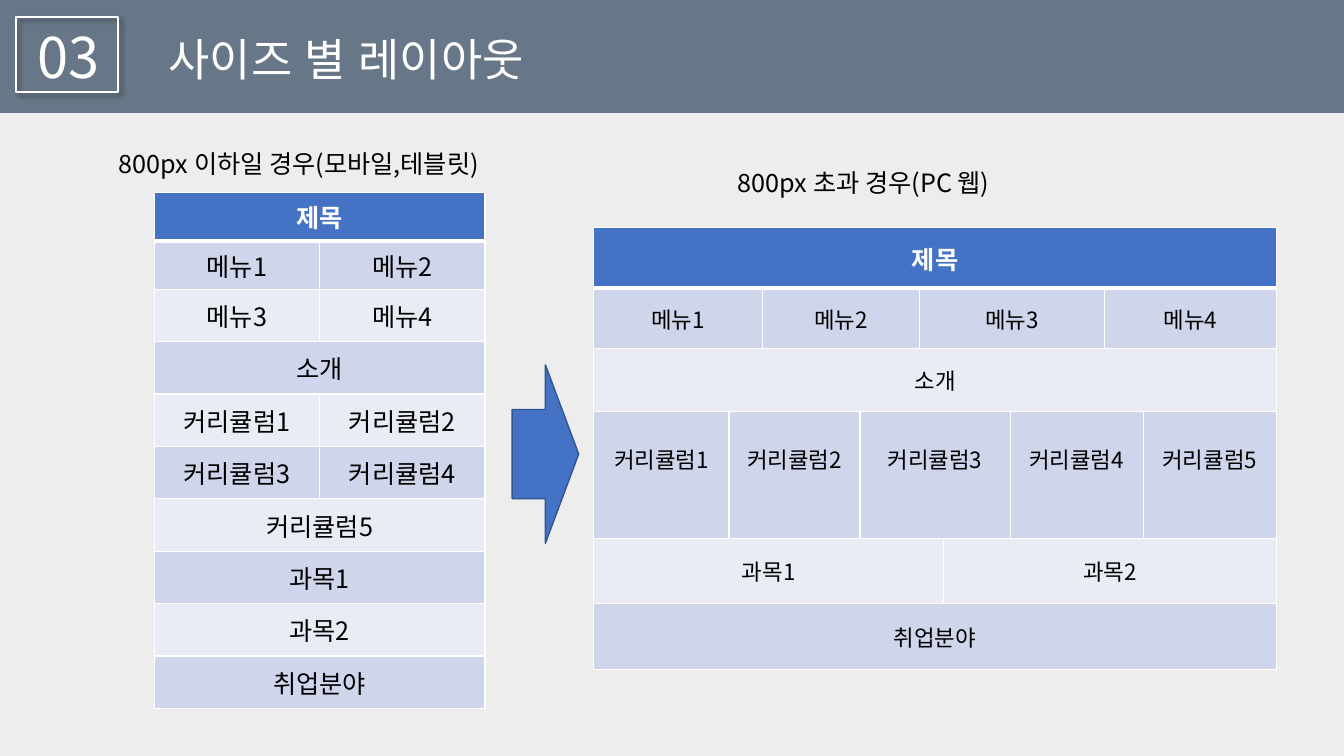
from lxml import etree
from pptx import Presentation
from pptx.dml.color import RGBColor
from pptx.enum import shapes, text
from pptx.oxml import ns
from pptx.util import Inches, Pt

COLORS = {
    "page": "EDEDED", "banner": "677787", "white": "FFFFFF", "black": "000000",
    "blue": "4472C4", "outline": "325491", "dark_band": "CFD5EA", "light_band": "E9EBF5",
}
COLORS = {name: RGBColor.from_string(value) for name, value in COLORS.items()}
SANS = "Noto Sans CJK KR"


def style(para, size, color, font=SANS, align=None, bold=False):
    para.alignment = align
    para.font.size = Pt(size)
    para.font.bold = bold
    para.font.color.rgb = COLORS[color]
    para.font.name = font
    # East Asian face for the Korean letters
    etree.SubElement(para._p.pPr[-1], ns.qn("a:ea"), typeface=font)


def add_layout_table(left, top, widths, heights, rows, body_size):
    """Each row lists (label, number of columns it spans)."""
    frame = page.shapes.add_table(len(heights), len(widths), Inches(left), Inches(top),
                                  Inches(sum(widths)), Inches(sum(heights)))
    table = frame.table
    for column, width in zip(table.columns, widths):
        column.width = Inches(width)
    for row, height in zip(table.rows, heights):
        row.height = Inches(height)

    for r, entries in enumerate(rows):
        # Fills and borders
        fill = "blue" if r == 0 else "dark_band" if r % 2 else "light_band"
        for cell in table.rows[r].cells:
            cell.fill.solid()
            cell.fill.fore_color.rgb = COLORS[fill]
            borders = {"lnL": 1, "lnR": 1, "lnT": 3 if r == 1 else 1, "lnB": 3 if r == 0 else 1}
            for index, (side, points) in enumerate(borders.items()):
                line = etree.Element(ns.qn(f"a:{side}"), w=str(Pt(points)))
                solid = etree.SubElement(line, ns.qn("a:solidFill"))
                etree.SubElement(solid, ns.qn("a:srgbClr"), val=str(COLORS["white"]))
                cell._tc.tcPr.insert(index, line)
        # Labels and merged columns
        c = 0
        for label, span in entries:
            cell = table.cell(r, c)
            if span > 1:
                cell.merge(table.cell(r, c + span - 1))
            cell.text = label
            cell.vertical_anchor = text.MSO_ANCHOR.MIDDLE
            style(cell.text_frame.paragraphs[0], 18 if r == 0 else body_size,
                  "white" if r == 0 else "black", align=text.PP_ALIGN.CENTER, bold=r == 0)
            c += span
    return table


deck = Presentation()
deck.slide_width, deck.slide_height = Inches(13.33), Inches(7.5)
page = deck.slides.add_slide(deck.slide_layouts[6])
page.background.fill.solid()
page.background.fill.fore_color.rgb = COLORS["page"]

# Banner, number frame and arrow
kinds = shapes.MSO_SHAPE
for kind, left, top, width, height, fill, outline, points in [
    (kinds.RECTANGLE, 0, 0, 13.33, 1.12, "banner", None, 0),
    (kinds.RECTANGLE, 0.16, 0.17, 1.01, 0.74, None, "white", 1.5),
    (kinds.RIGHT_ARROW, 5.08, 3.62, 0.66, 1.77, "blue", "outline", 1),
]:
    shape = page.shapes.add_shape(kind, Inches(left), Inches(top), Inches(width), Inches(height))
    shape.shadow.inherit = False
    if fill:
        shape.fill.solid()
        shape.fill.fore_color.rgb = COLORS[fill]
    else:
        shape.fill.background()
        # Soft shadow under the number frame
        effects = shape._element.spPr.find(ns.qn("a:effectLst"))
        shadow = etree.SubElement(effects, ns.qn("a:outerShdw"), blurRad=str(Pt(4)),
                                  dist=str(Pt(3)), dir="2700000", algn="tl", rotWithShape="0")
        tint = etree.SubElement(shadow, ns.qn("a:srgbClr"), val=str(COLORS["black"]))
        etree.SubElement(tint, ns.qn("a:alpha"), val="40000")
    if outline:
        shape.line.color.rgb = COLORS[outline]
        shape.line.width = Pt(points)
    else:
        shape.line.fill.background()

# Headings and captions
for label, left, top, width, height, size, color, font, align, wrap in [
    ("03", 0.27, 0.17, 0.91, 0.77, 40, "white", SANS, None, False),
    ("사이즈 별 레이아웃", 1.38, 0.27, 4.11, 0.64, 32, "white", "Arial", text.PP_ALIGN.CENTER, False),
    ("800px 이하일 경우(모바일,테블릿)", 1.08, 1.42, 4.16, 0.4, 18, "black", SANS, None, True),
    ("800px 초과 경우(PC 웹)", 7.22, 1.61, 4.16, 0.4, 18, "black", SANS, None, True),
]:
    box = page.shapes.add_textbox(Inches(left), Inches(top), Inches(width), Inches(height))
    box.text_frame.word_wrap = wrap
    box.text_frame.auto_size = text.MSO_AUTO_SIZE.SHAPE_TO_FIT_TEXT
    box.text_frame.text = label
    style(box.text_frame.paragraphs[0], size, color, font, align)

# Mobile and tablet layout
add_layout_table(1.53, 1.91, [1.64] * 2, [0.48] * 2 + [0.52] * 8, [
    [("제목", 2)],
    [("메뉴1", 1), ("메뉴2", 1)],
    [("메뉴3", 1), ("메뉴4", 1)],
    [("소개", 2)],
    [("커리큘럼1", 1), ("커리큘럼2", 1)],
    [("커리큘럼3", 1), ("커리큘럼4", 1)],
    [("커리큘럼5", 2)],
    [("과목1", 2)],
    [("과목2", 2)],
    [("취업분야", 2)],
], 18)

# PC web layout
web = add_layout_table(5.89, 2.26, [1.34, 0.33, 0.97, 0.59, 0.16, 0.66, 0.94, 0.38, 1.32],
                       [0.6, 0.6, 0.62, 1.26, 0.65, 0.65], [
    [("제목", 9)],
    [("메뉴1", 2), ("메뉴2", 2), ("메뉴3", 3), ("메뉴4", 2)],
    [("소개", 9)],
    [("커리큘럼1", 1), ("커리큘럼2", 2), ("커리큘럼3", 3), ("커리큘럼4", 2), ("커리큘럼5", 1)],
    [("과목1", 5), ("과목2", 4)],
    [("취업분야", 9)],
], 16)
# Curriculum labels sit above the middle of their tall row
for cell in web.rows[3].cells:
    cell.margin_bottom = Inches(0.37)

deck.save("out.pptx")
